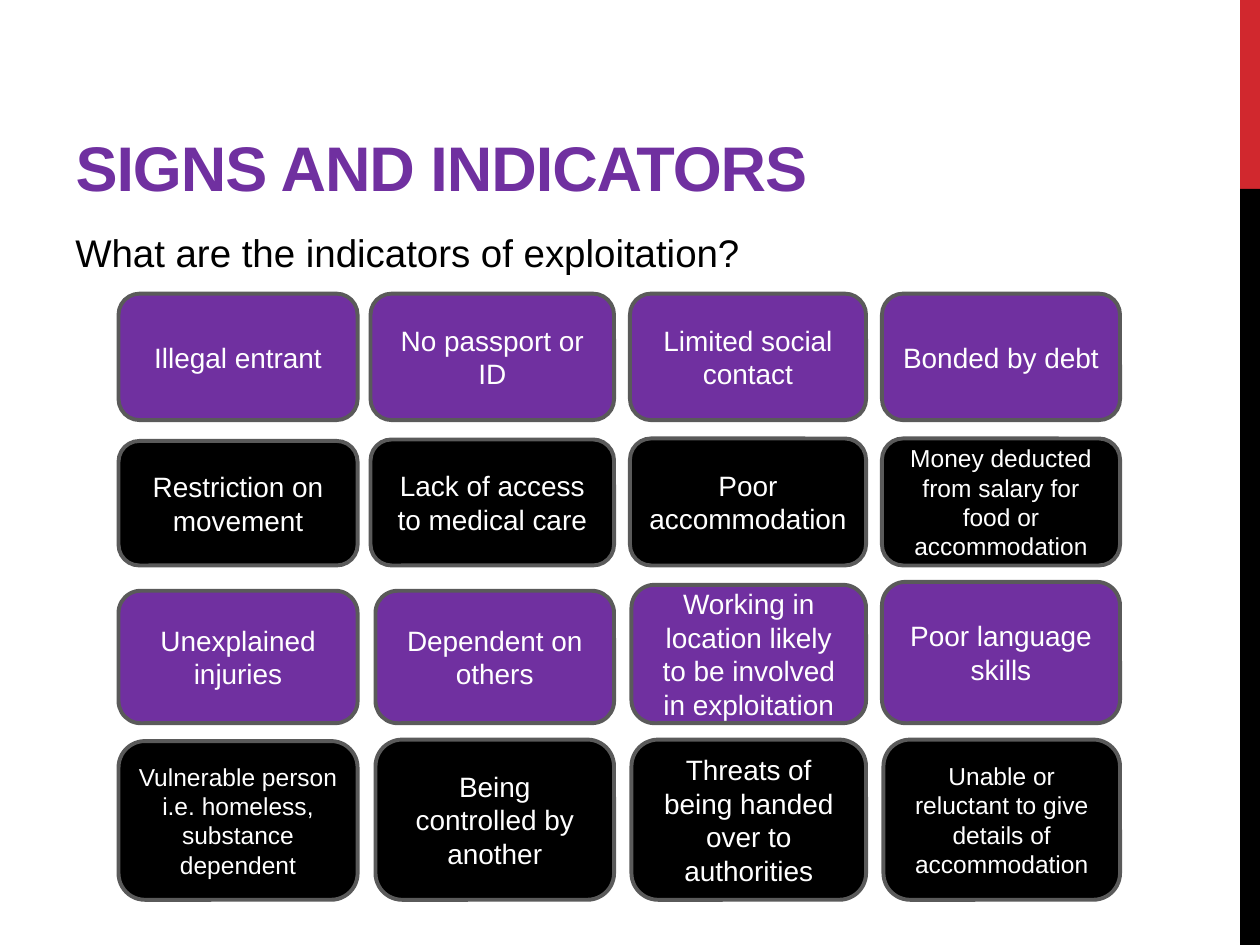
from typing import NamedTuple

from pptx import Presentation
from pptx.dml.color import RGBColor
from pptx.enum.shapes import MSO_SHAPE
from pptx.enum.text import MSO_ANCHOR, MSO_AUTO_SIZE, PP_ALIGN
from pptx.util import Cm, Pt

COLORS = {
    "purple": "7030A0",
    "black": "000000",
    "white": "FFFFFF",
    "outline": "5A5A5A",
    "red": "D1282E",
}
FONT = "Arial"


class Card(NamedTuple):
    text: str
    left: float
    top: float
    size: int = 16


class CardRow(NamedTuple):
    bottom: float
    fill: str
    cards: list[Card]


class Band(NamedTuple):
    top: float
    height: float
    fill: str


# Cards of one column share a right edge; cards of one row share a bottom edge (cm)
COLUMN_RIGHTS = (7.21, 12.38, 17.46, 22.58)
CARD_ROWS = [
    CardRow(8.47, "purple", [
        Card("Illegal entrant", 2.39, 5.92),
        Card("No passport or ID", 7.47, 5.92),
        Card("Limited social contact", 12.7, 5.92),
        Card("Bonded by debt", 17.78, 5.92),
    ]),
    CardRow(11.4, "black", [
        Card("Restriction on movement", 2.39, 8.89),
        Card("Lack of access to medical care", 7.47, 8.86),
        Card("Poor accommodation", 12.7, 8.84),
        Card("Money deducted from salary for food or accommodation", 17.78, 8.84, 14),
    ]),
    CardRow(14.58, "purple", [
        Card("Unexplained injuries", 2.39, 11.91),
        Card("Dependent on others", 7.57, 11.91),
        Card("Working in location likely to be involved in exploitation", 12.73, 11.79),
        Card("Poor language skills", 17.78, 11.73),
    ]),
    CardRow(18.14, "black", [
        Card("Vulnerable person i.e. homeless, substance dependent", 2.39, 14.94, 14),
        Card("Being controlled by another", 7.57, 14.91),
        Card("Threats of being handed over to authorities", 12.73, 14.91),
        Card("Unable or reluctant to give details of accommodation", 17.81, 14.91, 14),
    ]),
]
SIDE_BANDS = [Band(0, 3.81, "red"), Band(3.81, 15.24, "black")]


def rgb(name: str) -> RGBColor:
    return RGBColor.from_string(COLORS[name])


def add_run(paragraph, text: str, size: int, color: str, bold: bool = False):
    run = paragraph.add_run()
    run.text = text
    run.font.name = FONT
    run.font.size = Pt(size)
    run.font.bold = bold
    run.font.color.rgb = rgb(color)
    return run


def add_filled(slide, preset, left: float, top: float, width: float,
               height: float, fill: str):
    shape = slide.shapes.add_shape(preset, Cm(left), Cm(top), Cm(width), Cm(height))
    shape.shadow.inherit = False
    shape.fill.solid()
    shape.fill.fore_color.rgb = rgb(fill)
    return shape


def draw_band(slide, band: Band) -> None:
    strip = add_filled(slide, MSO_SHAPE.RECTANGLE, 25, band.top, 0.4,
                       band.height, band.fill)
    strip.line.fill.background()


def draw_card(slide, card: Card, right: float, bottom: float, fill: str) -> None:
    box = add_filled(slide, MSO_SHAPE.ROUNDED_RECTANGLE, card.left, card.top,
                     right - card.left, bottom - card.top, fill)
    box.line.color.rgb = rgb("outline")
    box.line.width = Pt(2.25)
    frame = box.text_frame
    frame.word_wrap = True
    frame.vertical_anchor = MSO_ANCHOR.MIDDLE
    paragraph = frame.paragraphs[0]
    paragraph.alignment = PP_ALIGN.CENTER
    add_run(paragraph, card.text, card.size, "white")


def draw_title(slide, text: str) -> None:
    title = slide.shapes.title
    title.left, title.top, title.width, title.height = (
        Cm(1.27), Cm(0.43), Cm(16.08), Cm(3.81))
    frame = title.text_frame
    frame.auto_size = MSO_AUTO_SIZE.NONE
    frame.vertical_anchor = MSO_ANCHOR.BOTTOM
    paragraph = frame.paragraphs[0]
    paragraph.alignment = PP_ALIGN.LEFT
    run = add_run(paragraph, text, 36, "purple", bold=True)
    run.font._element.set("spc", "-60")


def draw_question(slide, text: str) -> None:
    question = slide.shapes.add_textbox(Cm(1.27), Cm(4.5), Cm(23.04), Cm(1.19))
    frame = question.text_frame
    frame.word_wrap = True
    frame.auto_size = MSO_AUTO_SIZE.SHAPE_TO_FIT_TEXT
    add_run(frame.paragraphs[0], text, 22, "black")


def main() -> None:
    deck = Presentation()
    deck.slide_width, deck.slide_height = Cm(25.4), Cm(19.05)
    slide = deck.slides.add_slide(deck.slide_layouts[5])

    # Side strip
    for band in SIDE_BANDS:
        draw_band(slide, band)

    # Heading
    draw_title(slide, "SIGNS AND INDICATORS")
    draw_question(slide, "What are the indicators of exploitation?")

    # Indicator cards
    for row in CARD_ROWS:
        for card, right in zip(row.cards, COLUMN_RIGHTS):
            draw_card(slide, card, right, row.bottom, row.fill)

    deck.save("out.pptx")


if __name__ == "__main__":
    main()
